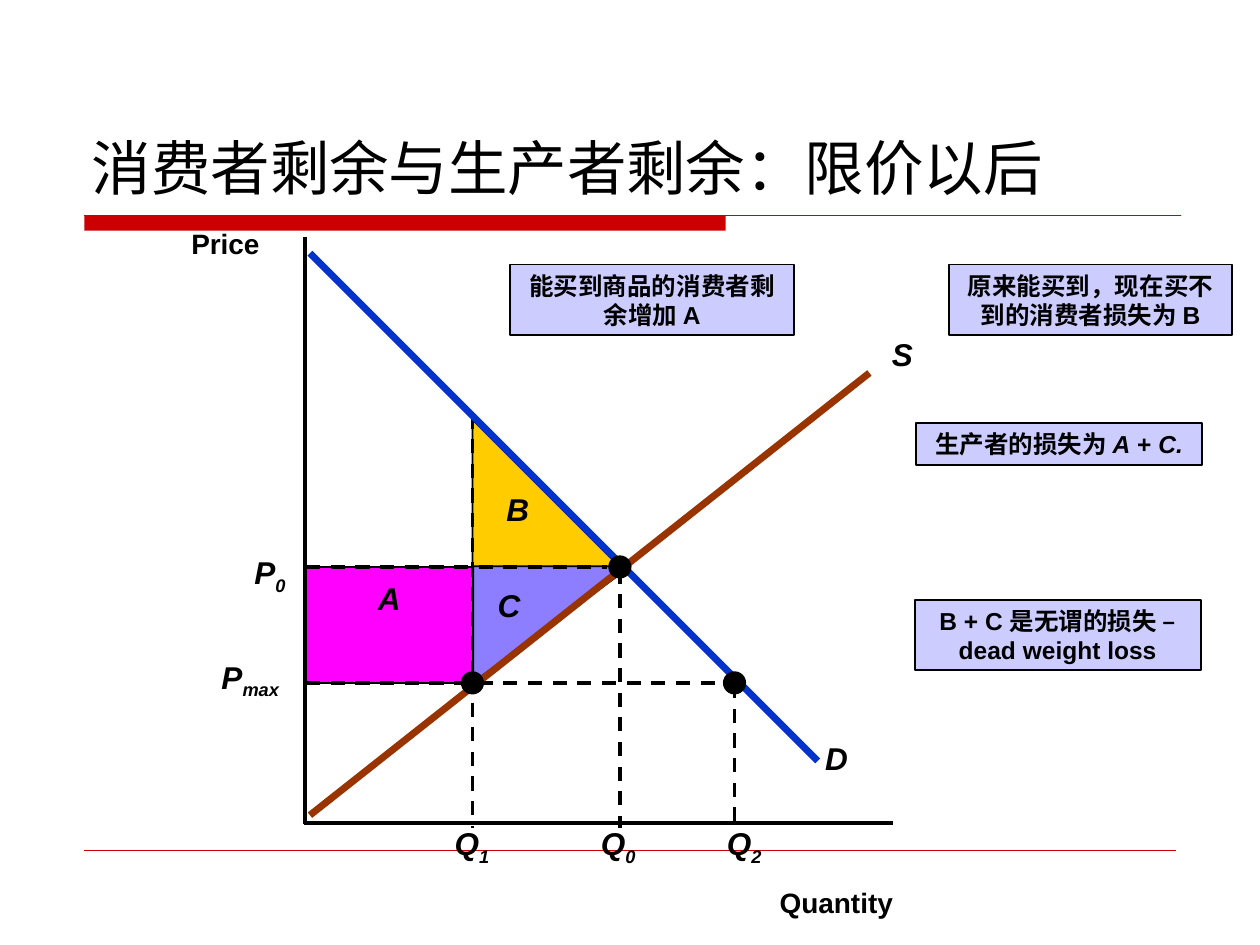
import pptx
import pptx.util
import pptx.dml.color
import pptx.enum.dml
import pptx.enum.shapes
import pptx.enum.text
import pptx.oxml.ns
from lxml import etree

Inches = pptx.util.Inches
Pt = pptx.util.Pt
SHAPES = pptx.enum.shapes.MSO_SHAPE
ALIGN = pptx.enum.text.PP_ALIGN
ANCHOR = pptx.enum.text.MSO_ANCHOR
AUTO_SIZE = pptx.enum.text.MSO_AUTO_SIZE

BLACK, RED, LAVENDER = "000000", "CC0000", "CCCCFF"
BLUE, BROWN = "0033CC", "993300"

AXIS_X, AXIS_Y = 2.42, 6.53
Q1, Q0, Q2 = 3.75, 4.92, 5.83
P0, PMAX, P_TOP = 4.5, 5.42, 3.33
DOT = 0.17

TITLE = "消费者剩余与生产者剩余：限价以后"

REGIONS = [
    (SHAPES.RIGHT_TRIANGLE, Q1, P_TOP, Q0 - Q1, P0 - P_TOP, 0, "FFCC00"),
    (SHAPES.RECTANGLE, AXIS_X, P0, Q1 - AXIS_X, PMAX - P0, 0, "FF00FF"),
    (SHAPES.RIGHT_TRIANGLE, 3.92, 4.33, 0.92, 1.25, 90, "8D7DFF"),
]

LINES = [
    (0.67, 1.71, 9.37, 1.71, RED, 1, False),
    (0.67, 6.75, 9.33, 6.75, RED, 0.25, False),
    (Q1, 3.29, Q1, 5.41, BLACK, 2, True),
    (AXIS_X, 1.88, AXIS_X, 6.54, BLACK, 2, False),
    (2.41, AXIS_Y, 7.09, AXIS_Y, BLACK, 2, False),
    (2.46, 6.47, 6.9, 2.96, BROWN, 4, False),
    (2.46, 2.01, 6.49, 6.04, BLUE, 4, False),
    (2.43, P0, 4.82, P0, BLACK, 2, True),
    (2.43, PMAX, 5.74, PMAX, BLACK, 2, True),
    (Q0, 4.52, Q0, 6.57, BLACK, 2, True),
    (Q1, 5.38, Q1, 6.57, BLACK, 2, True),
    (Q2, 5.43, Q2, 6.57, BLACK, 2, True),
]

DOTS = [(Q0, P0), (Q1, PMAX), (Q2, PMAX)]

SYMBOLS = [
    ("B", "", 3.92, 3.84, 0.38),
    ("A", "", 2.9, 4.55, 0.38),
    ("C", "", 3.85, 4.6, 0.38),
    ("S", "", 6.98, 2.61, 0.37),
    ("D", "", 6.45, 5.82, 0.38),
    ("P", "0", 1.92, 4.34, 0.45),
    ("P", "max", 1.66, 5.17, 0.66),
    ("Q", "1", 3.51, 6.49, 0.48),
    ("Q", "0", 4.67, 6.49, 0.48),
    ("Q", "2", 5.67, 6.49, 0.48),
]

AXIS_NAMES = [("Price", 1.42, 1.75, 0.74), ("Quantity", 6.09, 6.98, 1.1)]

CALLOUTS = [
    (4.05, 2.1, 2.25, 0.56, [("能买到商品的消费者剩余增加 A", False)]),
    (7.53, 2.1, 2.25, 0.56, [("原来能买到，现在买不到的消费者损失为 B", False)]),
    (7.27, 3.36, 2.27, 0.33,
     [("生产者的损失为 ", False), ("A", True), (" + ", False), ("C.", True)]),
    (7.26, 4.76, 2.27, 0.56, [("B + C 是无谓的损失 – dead weight loss", False)]),
]


def color(value):
    return pptx.dml.color.RGBColor.from_string(value)


def add_span(para, text, size, bold=True, italic=False, font="Arial", baseline=0):
    span = para.add_run()
    span.text = text
    span.font.size = Pt(size)
    span.font.name = font
    span.font.bold = bold
    span.font.italic = italic
    span.font.color.rgb = color(BLACK)
    if baseline:
        span.font._element.set("baseline", str(baseline * 1000))


def add_box(page, left, top, width, height, wrap=False):
    box = page.shapes.add_textbox(Inches(left), Inches(top), Inches(width), Inches(height))
    frame = box.text_frame
    frame.word_wrap = wrap
    frame.auto_size = AUTO_SIZE.NONE if wrap else AUTO_SIZE.SHAPE_TO_FIT_TEXT
    return frame


def add_figure(page, kind, left, top, width, height, fill, outline=BLACK):
    figure = page.shapes.add_shape(
        kind, Inches(left), Inches(top), Inches(width), Inches(height))
    figure.shadow.inherit = False
    figure.fill.solid()
    figure.fill.fore_color.rgb = color(fill)
    if outline:
        figure.line.color.rgb = color(outline)
        figure.line.width = Pt(1)
    else:
        figure.line.fill.background()
    return figure


def add_line(page, x1, y1, x2, y2, stroke, width, dashed):
    line = page.shapes.add_connector(
        pptx.enum.shapes.MSO_CONNECTOR.STRAIGHT,
        Inches(x1), Inches(y1), Inches(x2), Inches(y2))
    line.line.color.rgb = color(stroke)
    line.line.width = Pt(width)
    if dashed:
        line.line.dash_style = pptx.enum.dml.MSO_LINE.DASH
    properties = line._element.spPr
    etree.SubElement(properties, pptx.oxml.ns.qn("a:effectLst"))


def main():
    deck = pptx.Presentation()
    deck.slide_width, deck.slide_height = Inches(10), Inches(7.5)
    page = deck.slides.add_slide(deck.slide_layouts[6])

    title = add_box(page, 0.63, 0.33, 8.75, 1.33, wrap=True)
    title.vertical_anchor = ANCHOR.BOTTOM
    add_span(title.paragraphs[0], TITLE, 34, bold=False, font="DejaVu Sans")
    add_figure(page, SHAPES.RECTANGLE, 0.67, 1.71, 5.09, 0.12, RED, None)

    for kind, left, top, width, height, rotation, fill in REGIONS:
        add_figure(page, kind, left, top, width, height, fill).rotation = rotation
    for line in LINES:
        add_line(page, *line)
    for x, y in DOTS:
        add_figure(page, SHAPES.OVAL, x - DOT / 2, y - DOT / 2, DOT, DOT, BLACK)

    for symbol, subscript, left, top, width in SYMBOLS:
        para = add_box(page, left, top, width, 0.44 if subscript else 0.4).paragraphs[0]
        add_span(para, symbol, 18, italic=True)
        if subscript:
            add_span(para, subscript, 18, italic=True, baseline=-25)
    for name, left, top, width in AXIS_NAMES:
        add_span(add_box(page, left, top, width, 0.36).paragraphs[0], name, 16)

    for left, top, width, height, spans in CALLOUTS:
        frame = add_figure(
            page, SHAPES.RECTANGLE, left, top, width, height, LAVENDER).text_frame
        frame.word_wrap = True
        frame.vertical_anchor = ANCHOR.TOP
        para = frame.paragraphs[0]
        para.alignment = ALIGN.CENTER
        for text, italic in spans:
            add_span(para, text, 14, italic=italic)

    deck.save("out.pptx")


if __name__ == "__main__":
    main()
